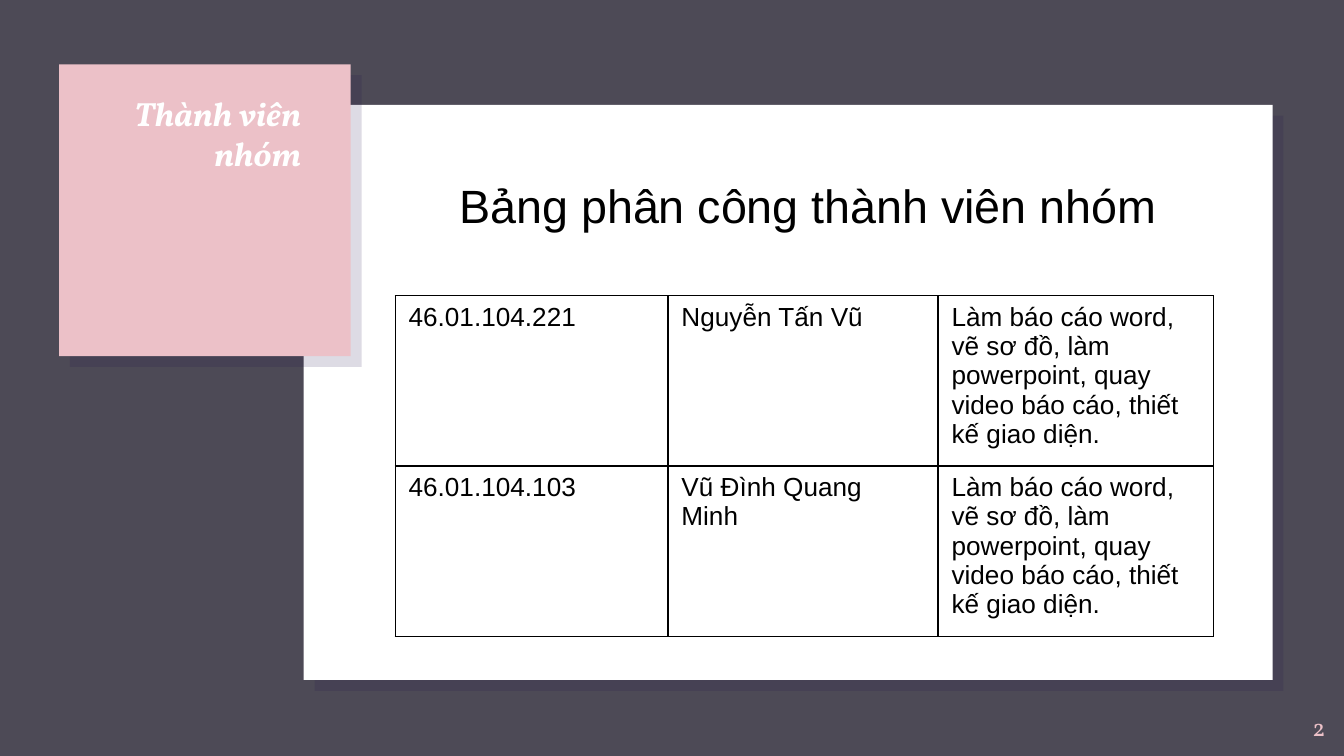
from lxml.etree import SubElement
from pptx import Presentation
from pptx.dml.color import RGBColor
from pptx.enum.shapes import MSO_SHAPE
from pptx.enum.text import MSO_ANCHOR, PP_ALIGN
from pptx.oxml import parse_xml
from pptx.oxml.ns import nsdecls, qn
from pptx.util import Inches, Pt

BACKGROUND, WHITE, PINK, BLACK = "4D4A56", "FFFFFF", "ECC1C8", "000000"
SHADOW = "20124D"

TITLE = "Thành viên nhóm"
HEADING = "Bảng phân công thành viên nhóm"
PAGE_NUMBER = "2"
TASKS = "Làm báo cáo word, vẽ sơ đồ, làm powerpoint, quay video báo cáo, thiết kế giao diện."
MEMBERS = [
    ("46.01.104.221", "Nguyễn Tấn Vũ", TASKS),
    ("46.01.104.103", "Vũ Đình Quang Minh", TASKS),
]
PANELS = [  # left, top, width, height, fill
    (2.26, 0.78, 7.21, 4.28, WHITE),
    (0.44, 0.48, 2.17, 2.17, PINK),
]
TABLE_LEFT, TABLE_TOP = 2.94, 2.2
COLUMN_WIDTHS = (2.03, 2.01, 2.05)
ROW_HEIGHT = 1.19
CELL_SIZE = 14


def rgb(value):
    return RGBColor.from_string(value)


def set_font(target, size, name, color, bold=False, italic=False):
    f = target.font
    f.size, f.name, f.bold, f.italic = Pt(size), name, bold, italic
    f.color.rgb = rgb(color)


def add_panel(s, left, top, width, height, fill):
    """Rectangle with a hard, translucent shadow to the lower right."""
    sp = s.shapes.add_shape(MSO_SHAPE.RECTANGLE, *map(Inches, (left, top, width, height)))
    sp.fill.solid()
    sp.fill.fore_color.rgb = rgb(fill)
    sp.line.fill.background()
    sp.shadow.inherit = False
    effects = sp._element.spPr.find(qn("a:effectLst"))
    effects.append(parse_xml(
        f'<a:outerShdw {nsdecls("a")} blurRad="0" dist="{Pt(8.2)}" dir="2700000" '
        f'algn="bl" rotWithShape="0"><a:srgbClr val="{SHADOW}">'
        '<a:alpha val="15000"/></a:srgbClr></a:outerShdw>'))


def add_text(s, box, text, size, name, color, align=PP_ALIGN.LEFT,
             inset=0.1, anchor=MSO_ANCHOR.TOP, **style):
    tf = s.shapes.add_textbox(*map(Inches, box)).text_frame
    tf.word_wrap = True
    tf.vertical_anchor = anchor
    tf.margin_left = tf.margin_right = Inches(0.1)
    tf.margin_top = tf.margin_bottom = Inches(inset)
    p = tf.paragraphs[0]
    p.text, p.alignment = text, align
    set_font(p, size, name, color, **style)


def fill_cell(cell, text):
    """Text with its size also on the paragraph end, so the row stays tight."""
    p = cell.text_frame.paragraphs[0]
    r = p.add_run()
    r.text = text
    set_font(r, CELL_SIZE, "Arial", BLACK)
    SubElement(p._p, qn("a:endParaRPr"), sz=str(CELL_SIZE * 100))


def add_borders(cell):
    tcPr = cell._tc.get_or_add_tcPr()
    for side in ("a:lnL", "a:lnR", "a:lnT", "a:lnB"):
        ln = SubElement(tcPr, qn(side), w=str(Pt(0.75)))
        fill = SubElement(ln, qn("a:solidFill"))
        SubElement(fill, qn("a:srgbClr"), val=BLACK)


def add_member_table(s):
    table = s.shapes.add_table(
        len(MEMBERS), len(COLUMN_WIDTHS), Inches(TABLE_LEFT), Inches(TABLE_TOP),
        Inches(sum(COLUMN_WIDTHS)), Inches(ROW_HEIGHT * len(MEMBERS))).table
    table.first_row = table.horz_banding = False
    for column, width in zip(table.columns, COLUMN_WIDTHS):
        column.width = Inches(width)
    for row, member in zip(table.rows, MEMBERS):
        row.height = Inches(ROW_HEIGHT)
        for cell, text in zip(row.cells, member):
            fill_cell(cell, text)
            add_borders(cell)
            cell.fill.background()


def main():
    prs = Presentation()
    prs.slide_width = Inches(10)
    prs.slide_height = prs.slide_width * 9 // 16
    s = prs.slides.add_slide(prs.slide_layouts[6])
    s.background.fill.solid()
    s.background.fill.fore_color.rgb = rgb(BACKGROUND)

    for panel in PANELS:
        add_panel(s, *panel)
    add_text(s, (0.58, 0.59, 1.76, 0.94), TITLE, 18, "Vollkorn", WHITE,
             PP_ALIGN.RIGHT, bold=True, italic=True)
    add_text(s, (9.36, 5.19, 0.6, 0.43), PAGE_NUMBER, 13, "Vollkorn", PINK,
             PP_ALIGN.RIGHT, anchor=MSO_ANCHOR.MIDDLE)
    add_member_table(s)
    add_text(s, (3.32, 1.27, 6.09, 0.52), HEADING, 25, "Arial", BLACK, inset=0.05)
    prs.save("out.pptx")


if __name__ == "__main__":
    main()
